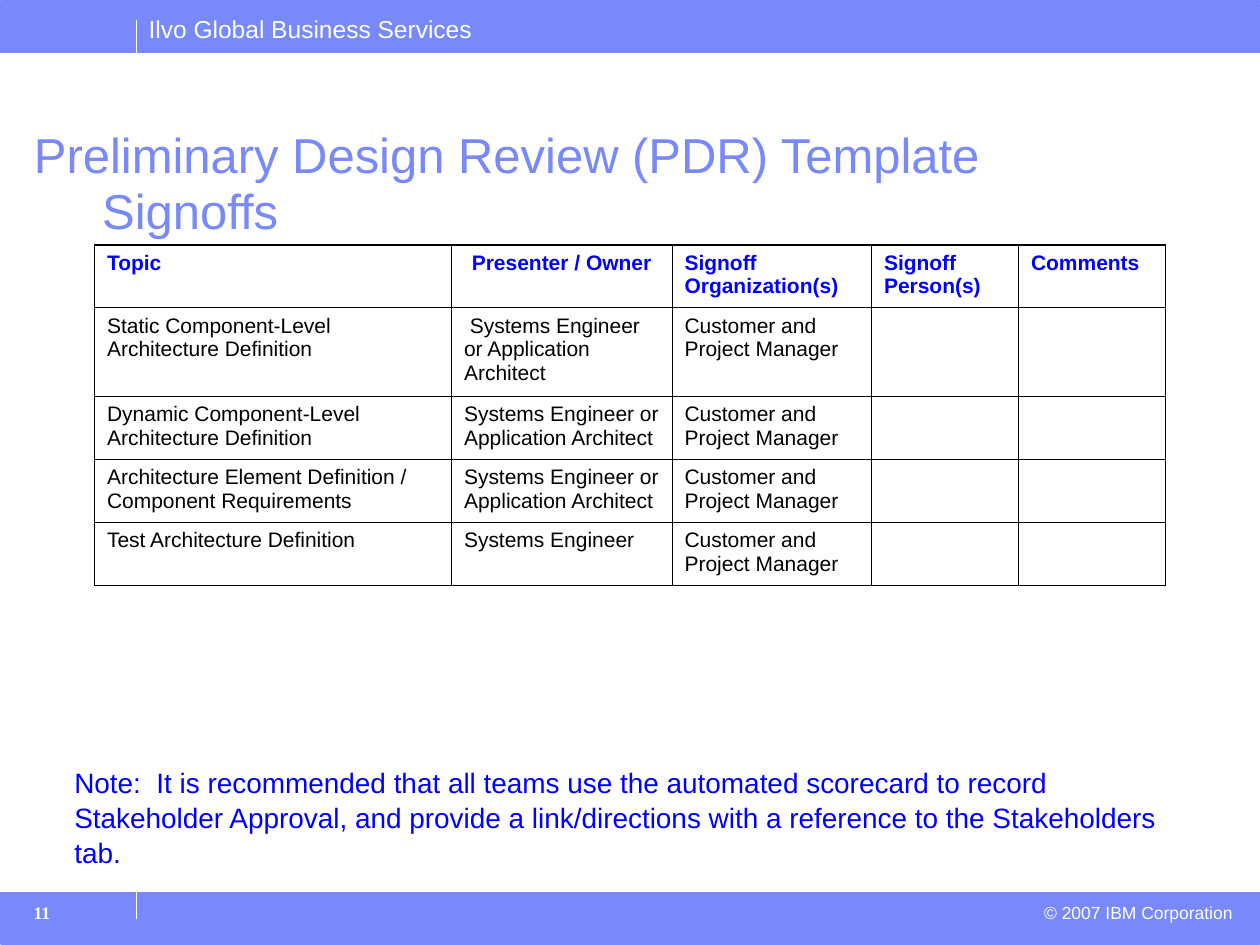
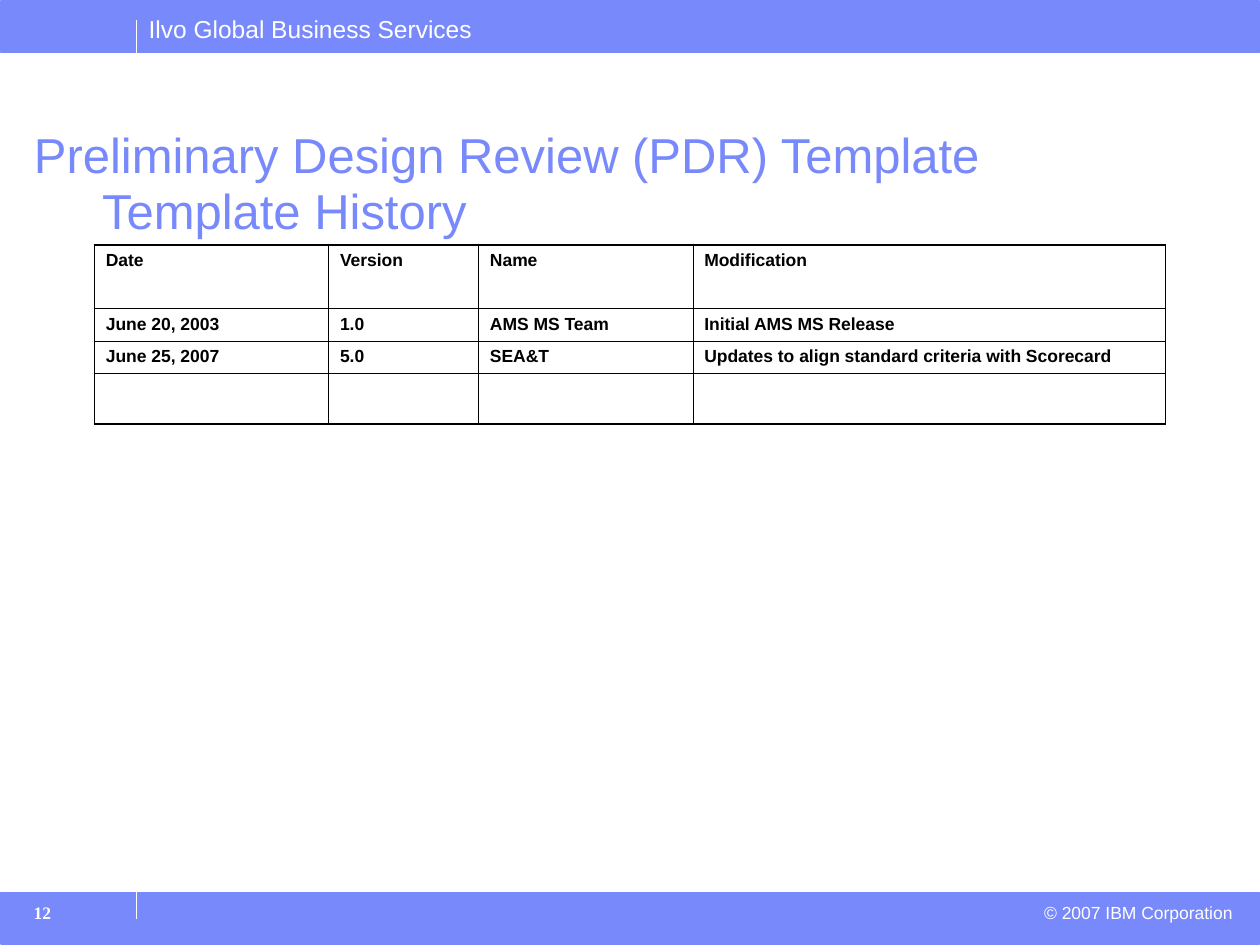
import pptx
import pptx.util
import pptx.dml.color
import pptx.enum.shapes
import pptx.enum.text
import pptx.oxml
import pptx.oxml.ns

Pt = pptx.util.Pt
ALIGN = pptx.enum.text.PP_ALIGN

PERIWINKLE, BLUE, BLACK, WHITE = "7889FB", "0000FF", "000000", "FFFFFF"
TITLE = "Preliminary Design Review (PDR) Template"
THIN, THICK = 0.45, 1.08


def color(hex_string):
    return pptx.dml.color.RGBColor.from_string(hex_string)


class Sheet:
    """Holds the deck, its style and the current page."""

    def __init__(self):
        self.deck = pptx.Presentation()
        self.deck.slide_width, self.deck.slide_height = Pt(720), Pt(540)
        self.page = None

    def new_page(self, subtitle, number):
        self.page = self.deck.slides.add_slide(self.deck.slide_layouts[5])
        # Bands with their tick lines
        for top in (0.5, 510):
            self.band(top)
        for top, bottom in ((11.5, 30.2), (509.8, 525)):
            self.line(78, top, bottom)
        # Header, footer and page number
        self.text("Ilvo Global Business Services", 77.8, 4.3, 202.3, 24, size=14)
        self.text("© 2007 IBM Corporation", 450.7, 511.9, 260.6, 19.4,
                  size=10, align=ALIGN.RIGHT)
        self.text(str(number), 12.2, 511.9, 79.2, 25.2,
                  size=10, bold=True, name="Times New Roman")
        self.title(subtitle)

    def band(self, top):
        shape = self.page.shapes.add_shape(
            pptx.enum.shapes.MSO_SHAPE.RECTANGLE, Pt(0.5), Pt(top), Pt(719.3), Pt(29.5))
        shape.shadow.inherit = False
        shape.fill.solid()
        shape.fill.fore_color.rgb = color(PERIWINKLE)
        shape.line.color.rgb = color(PERIWINKLE)
        shape.line.width = Pt(1)

    def line(self, left, top, bottom):
        tick = self.page.shapes.add_connector(
            pptx.enum.shapes.MSO_CONNECTOR.STRAIGHT, Pt(left), Pt(top), Pt(left), Pt(bottom))
        tick.line.color.rgb = color(WHITE)
        tick.line.width = Pt(1)
        tick._element.spPr.append(pptx.oxml.parse_xml(
            f"<a:effectLst {pptx.oxml.ns.nsdecls('a')}/>"))

    def fill_para(self, para, text, size, ink=WHITE, bold=False, name="Arial",
                  align=ALIGN.LEFT, spacing=1.0):
        para.text = text
        para.alignment, para.line_spacing = align, spacing
        style = {"size": Pt(size), "bold": bold, "name": name}
        for span in para.runs:
            for key, value in style.items():
                setattr(span.font, key, value)
            span.font.color.rgb = color(ink)

    def frame(self, box, insets=(7.2, 3.6)):
        frame = box.text_frame
        side, top = insets
        settings = {
            "word_wrap": True,
            "auto_size": pptx.enum.text.MSO_AUTO_SIZE.NONE,
            "vertical_anchor": pptx.enum.text.MSO_ANCHOR.TOP,
            "margin_left": Pt(side), "margin_right": Pt(side),
            "margin_top": Pt(top), "margin_bottom": Pt(3.6),
        }
        for key, value in settings.items():
            setattr(frame, key, value)
        return frame

    def text(self, text, left, top, width, height, insets=(7.2, 3.6), **style):
        box = self.page.shapes.add_textbox(Pt(left), Pt(top), Pt(width), Pt(height))
        self.fill_para(self.frame(box, insets).paragraphs[0], text, **style)

    def title(self, subtitle):
        box = self.page.shapes.title
        place = {"left": 12.2, "top": 68.4, "width": 649.4, "height": 39.6}
        for key, value in place.items():
            setattr(box, key, Pt(value))
        para = self.frame(box, (7.2, 5.6)).paragraphs[0]
        self.fill_para(para, f"{TITLE}\v{subtitle}", size=28, ink=PERIWINKLE, spacing=0.94)
        # Hanging indent for the second line
        properties = para._p.get_or_add_pPr()
        properties.set("marL", str(Pt(39)))
        properties.set("indent", str(-Pt(39)))

    def borders(self, cell, widths):
        properties = cell._tc.get_or_add_tcPr()
        for index, (side, width) in enumerate(zip("LRTB", widths)):
            properties.insert(index, pptx.oxml.parse_xml(
                f'<a:ln{side} {pptx.oxml.ns.nsdecls("a")} w="{Pt(width)}">'
                f'<a:solidFill><a:srgbClr val="{BLACK}"/></a:solidFill></a:ln{side}>'))

    def table(self, rows, widths, heights, insets, size, head, body, centered=()):
        grid = self.page.shapes.add_table(
            len(rows), len(widths), Pt(54), Pt(139.9),
            Pt(sum(widths)), Pt(sum(heights))).table
        grid.first_row = grid.horz_banding = False
        for column, width in zip(grid.columns, widths):
            column.width = Pt(width)
        for row, height in zip(grid.rows, heights):
            row.height = Pt(height)
        last_row, last_column = len(rows) - 1, len(widths) - 1
        side, edge = insets
        for r, values in enumerate(rows):
            for c, value in enumerate(values):
                cell = grid.cell(r, c)
                cell.margin_left = cell.margin_right = Pt(side)
                cell.margin_top = cell.margin_bottom = Pt(edge)
                cell.fill.background()
                outer = (c == 0, c == last_column, r == 0, r == last_row)
                self.borders(cell, [THICK if at_edge else THIN for at_edge in outer])
                if value:
                    align = ALIGN.CENTER if (r, c) in centered else ALIGN.LEFT
                    self.fill_para(cell.text_frame.paragraphs[0], value, size=size,
                                   align=align, **(body if r else head))


def main():
    sheet = Sheet()

    # Signoffs
    sheet.new_page("Signoffs", 11)
    sheet.text(
        "Note:  It is recommended that all teams use the automated scorecard to record "
        "Stakeholder Approval, and provide a link/directions with a reference to the "
        "Stakeholders tab.",
        36, 432, 655.2, 64.1, insets=(6.5, 4.5), size=16, ink=BLUE, spacing=1.04)
    architect = "Systems Engineer or Application Architect"
    approver = "Customer and Project Manager"
    topics = [
        ("Static Component-Level Architecture Definition", " " + architect),
        ("Dynamic Component-Level Architecture Definition", architect),
        ("Architecture Element Definition / Component Requirements", architect),
        ("Test Architecture Definition", "Systems Engineer"),
    ]
    signoffs = [("Topic", "Presenter / Owner", "Signoff Organization(s)",
                 "Signoff Person(s)", "Comments")]
    signoffs += [(topic, owner, approver, "", "") for topic, owner in topics]
    sheet.table(signoffs, (204, 126, 114, 84, 84), (36, 50.6, 36, 36, 36),
                insets=(7.2, 3.6), size=12, head={"ink": BLUE, "bold": True},
                body={"ink": BLACK}, centered={(0, 1)})

    # Template history
    sheet.new_page("Template History", 12)
    history = [
        ("Date", "Version", "Name", "Modification"),
        ("June 20, 2003", "1.0", "AMS MS Team", "Initial AMS MS Release"),
        ("June 25, 2007", "5.0", "SEA&T", "Updates to align standard criteria with Scorecard"),
        ("", "", "", ""),
    ]
    strong = {"ink": BLACK, "bold": True}
    sheet.table(history, (133.8, 85.7, 122.5, 270), (36.6, 18.5, 18.5, 18.5),
                insets=(6.5, 3.4), size=10, head=strong, body=strong)

    sheet.deck.save("out.pptx")


if __name__ == "__main__":
    main()
